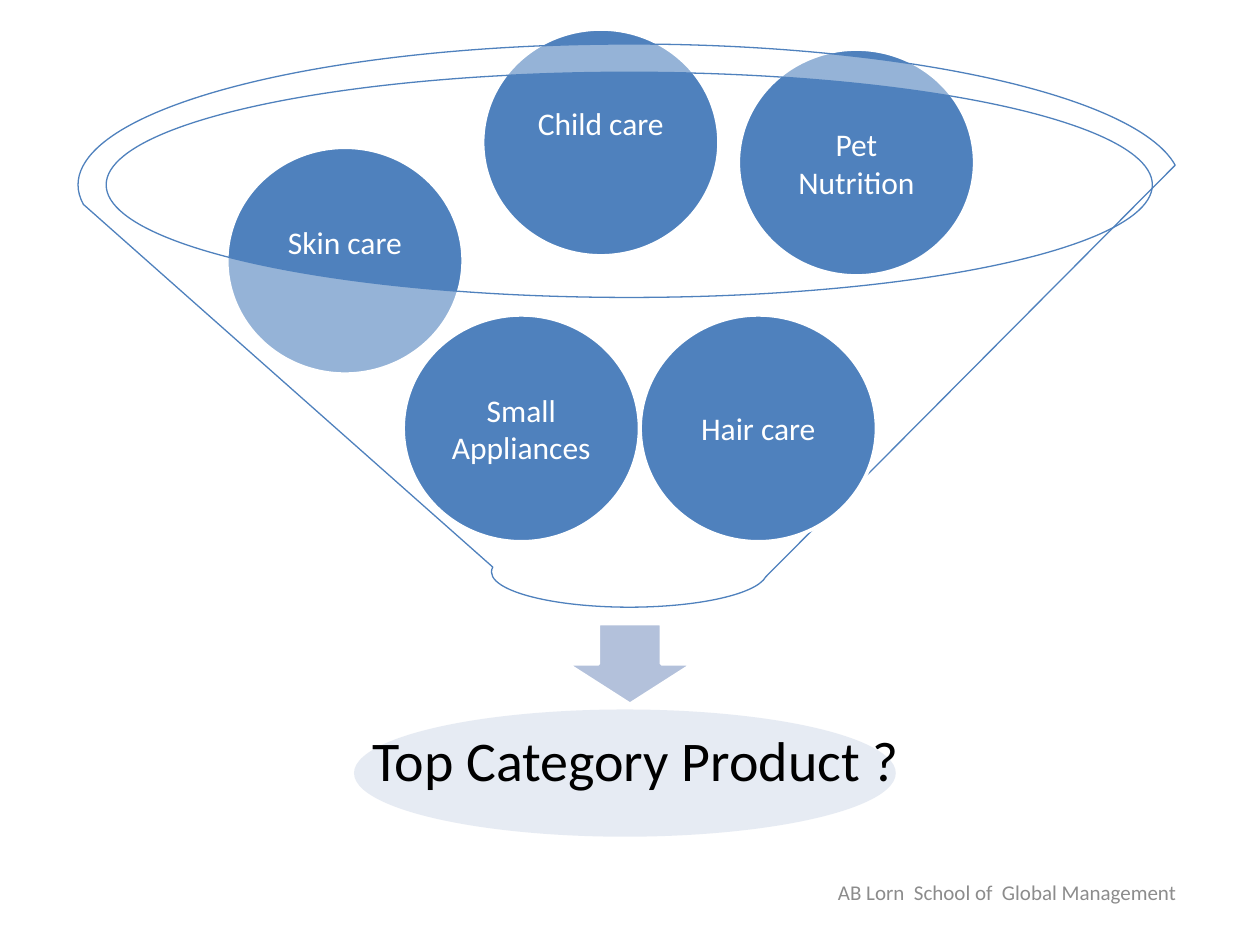
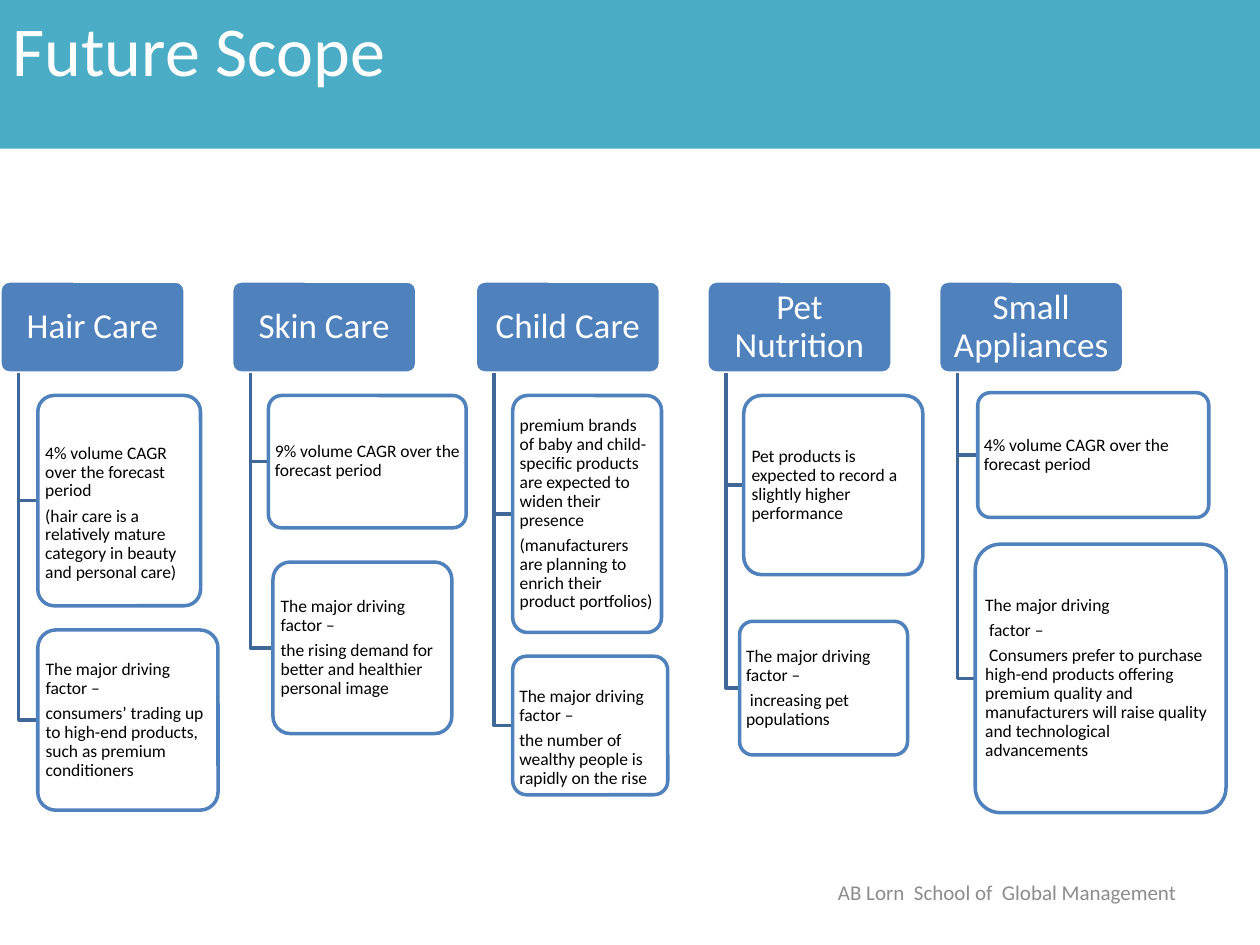
"""Build two slides: a product category funnel and its future scope."""
from pptx import Presentation
from pptx.dml import color as col
from pptx.enum import shapes as sh, text as tx
from pptx.oxml import ns, xmlchemy as xml
from pptx.util import Pt

FONT = "Calibri"
BLUE, TEAL, STEM = "4F81BD", "4BACC6", "3F6797"
WHITE, BLACK, GREY = "FFFFFF", "000000", "8C8C8C"
FOOTER = "AB Lorn  School of  Global Management"
GOAL = " Top Category Product ?"
SCOPE = "Future Scope"

BALL = (135, 129.6)
ABOVE = [
    (["Child care"], 275.8, 16.6, 22),
    (["Skin care"], 129.6, 84.2, 22),
    (["Pet", "Nutrition"], 421.9, 28.1, 0),
]
BELOW = [
    (["Hair care"], 365.8, 180, 0),
    (["Small", "Appliances"], 230.4, 180, 0),
]

HEAD_TOP, HEAD_W, HEAD_H, STEM_IN = 160.6, 105.8, 52.6, 10.7
DRIVER = "The major driving factor –"
COLUMNS = [
    ("Hair Care", 0, [
        ((21.6, 226, 93, 120.2), 14.5,
         ["4% volume CAGR over the forecast period",
          "(hair care is a relatively mature category in beauty and personal care)"]),
        ((21.6, 360, 103, 103), 0,
         [DRIVER, "consumers’ trading up to high-end products, such as premium conditioners"]),
    ]),
    ("Skin Care", 132.4, [
        ((153.4, 226, 113, 75.6), 0, ["9% volume CAGR over the forecast period"]),
        ((156, 321.2, 102.2, 98), 0,
         [DRIVER, "the rising demand for better and healthier personal image"]),
    ]),
    ("Child Care", 271.6, [
        ((293, 226, 85, 135.4), 0,
         ["premium brands of baby and child-specific products are expected "
          "to widen their presence",
          "(manufacturers are planning to enrich their product portfolios)"]),
        ((293, 375, 88.6, 79.2), 14.5,
         [DRIVER, "the number of wealthy people is rapidly on the rise"]),
    ]),
    ("Pet Nutrition", 404, [
        ((425, 226, 102.4, 102.4), 0,
         ["Pet products is expected to record a slightly higher performance"]),
        ((422.6, 355, 96, 76.4), 0, [DRIVER, " increasing pet populations"]),
    ]),
    ("Small Appliances", 536.4, [
        ((558.7, 224.4, 132, 71.3), 0, ["4% volume CAGR over the forecast period"]),
        ((557.3, 311, 143.3, 153.4), 0,
         ["The major driving", " factor –",
          " Consumers prefer to purchase high-end products offering premium quality "
          "and manufacturers will raise quality and technological advancements"]),
    ]),
]


def rgb(code):
    """Turn a hex string into a colour."""
    return col.RGBColor.from_string(code)


def paint(shape, fill=None, line=None, width=2, alpha=None):
    """Set the fill, its opacity in percent and the outline."""
    shape.shadow.inherit = False
    if fill:
        shape.fill.solid()
        shape.fill.fore_color.rgb = rgb(fill)
    else:
        shape.fill.background()
    if alpha:
        tint = shape.fill._xPr.find(ns.qn("a:solidFill"))[0]
        xml.OxmlElement("a:alpha")
        tint.append(xml.OxmlElement("a:alpha"))
        tint[-1].set("val", str(alpha * 1000))
    if line:
        shape.line.color.rgb = rgb(line)
        shape.line.width = Pt(width)
    else:
        shape.line.fill.background()


def draw(slide, kind, box, **look):
    """Add a preset shape with its look."""
    shape = slide.shapes.add_shape(kind, *map(Pt, box))
    paint(shape, **look)
    return shape


def write(shape, lines, size=18, color=WHITE, align="CENTER", anchor="MIDDLE",
          inset=(7.2, 3.6, 7.2, 3.6), lead=1, gap=0):
    """Fill a shape with formatted paragraphs."""
    frame = shape.text_frame
    frame.word_wrap = True
    frame.auto_size = tx.MSO_AUTO_SIZE.NONE
    frame.vertical_anchor = getattr(tx.MSO_ANCHOR, anchor)
    for side, room in zip(("left", "top", "right", "bottom"), inset):
        setattr(frame, "margin_" + side, Pt(room))
    for n, line in enumerate(lines):
        para = frame.add_paragraph() if n else frame.paragraphs[0]
        para.alignment = getattr(tx.PP_ALIGN, align)
        para.line_spacing = lead
        para.space_after = Pt(gap if n < len(lines) - 1 else 0)
        run = para.add_run()
        run.text = line
        run.font.name, run.font.size = FONT, Pt(size)
        run.font.color.rgb = rgb(color)


def label(slide, box, line, **form):
    """Add a text box holding one line."""
    write(slide.shapes.add_textbox(*map(Pt, box)), [line], **form)


def start(deck, layout):
    """Add a slide with the shared footer."""
    slide = deck.slides.add_slide(deck.slide_layouts[layout])
    label(slide, (461.5, 495.4, 228.2, 28.8), FOOTER, size=12, color=GREY)
    return slide


def balls(slide, items):
    """Draw the category balls."""
    for lines, left, top, low in items:
        ball = draw(slide, sh.MSO_SHAPE.OVAL, (left, top, *BALL), fill=BLUE, line=WHITE)
        write(ball, lines, inset=(2, 2, 2, 2 + low))


def funnel(deck):
    """Build the funnel slide."""
    slide = start(deck, 6)
    kind = sh.MSO_SHAPE
    balls(slide, ABOVE)
    draw(slide, kind.OVAL, (202.3, 405.4, 309.6, 72.7), fill="C2CDE1", alpha=40)
    draw(slide, kind.DOWN_ARROW, (324, 356.4, 72, 46), fill="B3C1DB", line=WHITE)
    label(slide, (187.2, 393.2, 345, 86.4), GOAL, size=32, color=BLACK, lead=0.9)
    draw(slide, kind.FUNNEL, (44.6, 25.2, 630, 321.8),
         fill=WHITE, alpha=40, line=BLUE, width=0.75)
    balls(slide, BELOW)


def stem(slide, left, box):
    """Draw the elbow from a heading down to the middle of a box."""
    x, top = Pt(left + STEM_IN), Pt(HEAD_TOP + HEAD_H)
    mid = Pt(box[1] + box[3] / 2)
    pen = slide.shapes.build_freeform(x, top)
    pen.add_line_segments([(x, mid), (Pt(box[0]), mid)], close=False)
    paint(pen.convert_to_shape(), line=STEM)


def card(slide, box, lines, fill, line, **form):
    """Draw a rounded box with text."""
    shape = draw(slide, sh.MSO_SHAPE.ROUNDED_RECTANGLE, box, fill=fill, line=line)
    shape.adjustments[0] = 0.1
    write(shape, lines, lead=0.9, gap=3.5, **form)


def scope(deck):
    """Build the future scope slide."""
    slide = start(deck, 5)
    title = slide.shapes.title
    title.left, title.top, title.width, title.height = map(Pt, (0, 0, 720, 85))
    title.fill.solid()
    title.fill.fore_color.rgb = rgb(TEAL)
    write(title, [SCOPE], size=40, align="LEFT", anchor="TOP")
    for name, left, boxes in COLUMNS:
        card(slide, (left, HEAD_TOP, HEAD_W, HEAD_H), [name], BLUE, WHITE,
             size=20, inset=(3, 2, 3, 2))
        for box, drop, lines in boxes:
            stem(slide, left, box)
            card(slide, box, lines, WHITE, BLUE, size=10, color=BLACK,
                 align="LEFT", inset=(1.5, 1 + drop, 1.5, 1))


def main():
    """Build and save the deck."""
    deck = Presentation()
    deck.slide_width, deck.slide_height = Pt(720), Pt(540)
    funnel(deck)
    scope(deck)
    deck.save("out.pptx")


if __name__ == "__main__":
    main()
